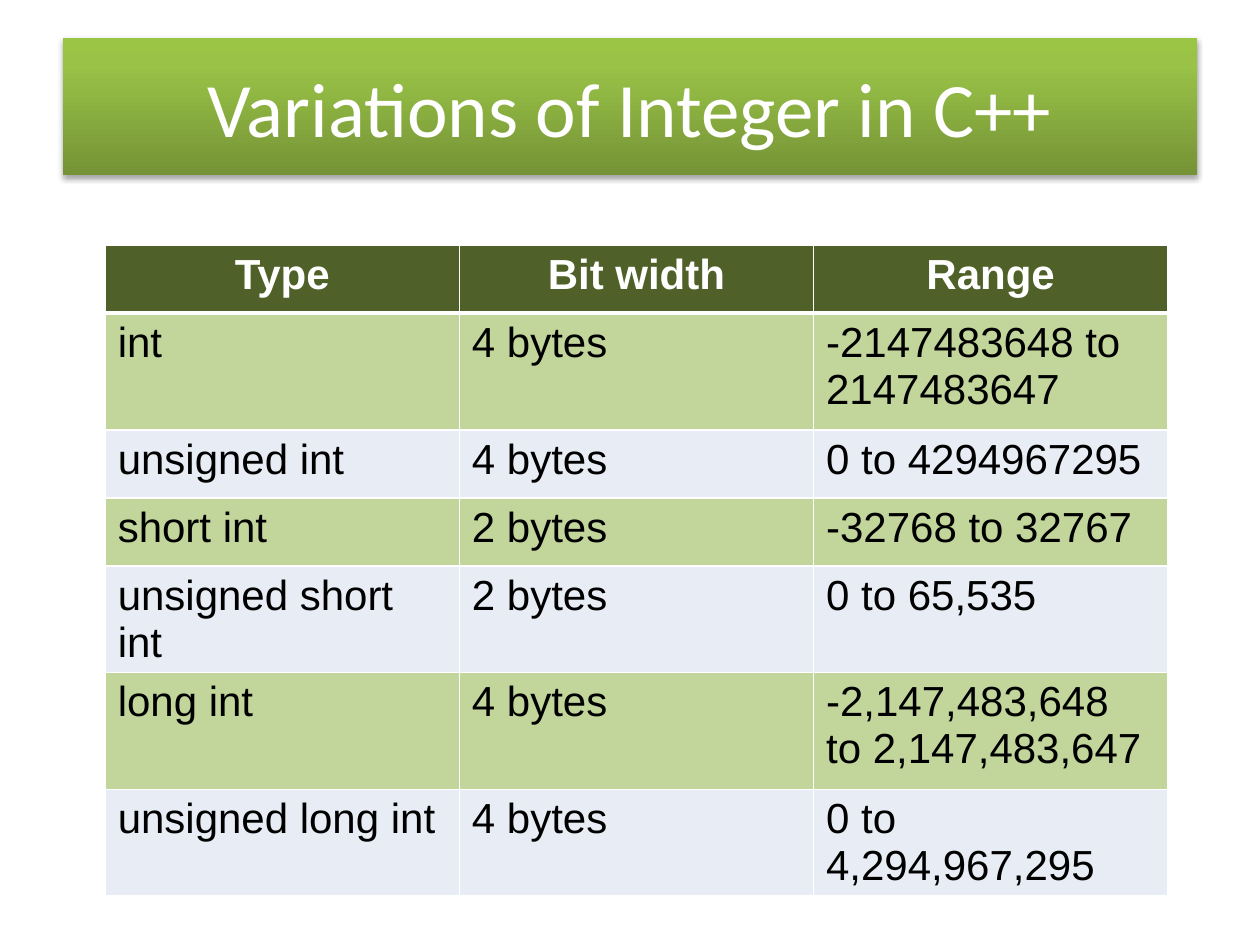
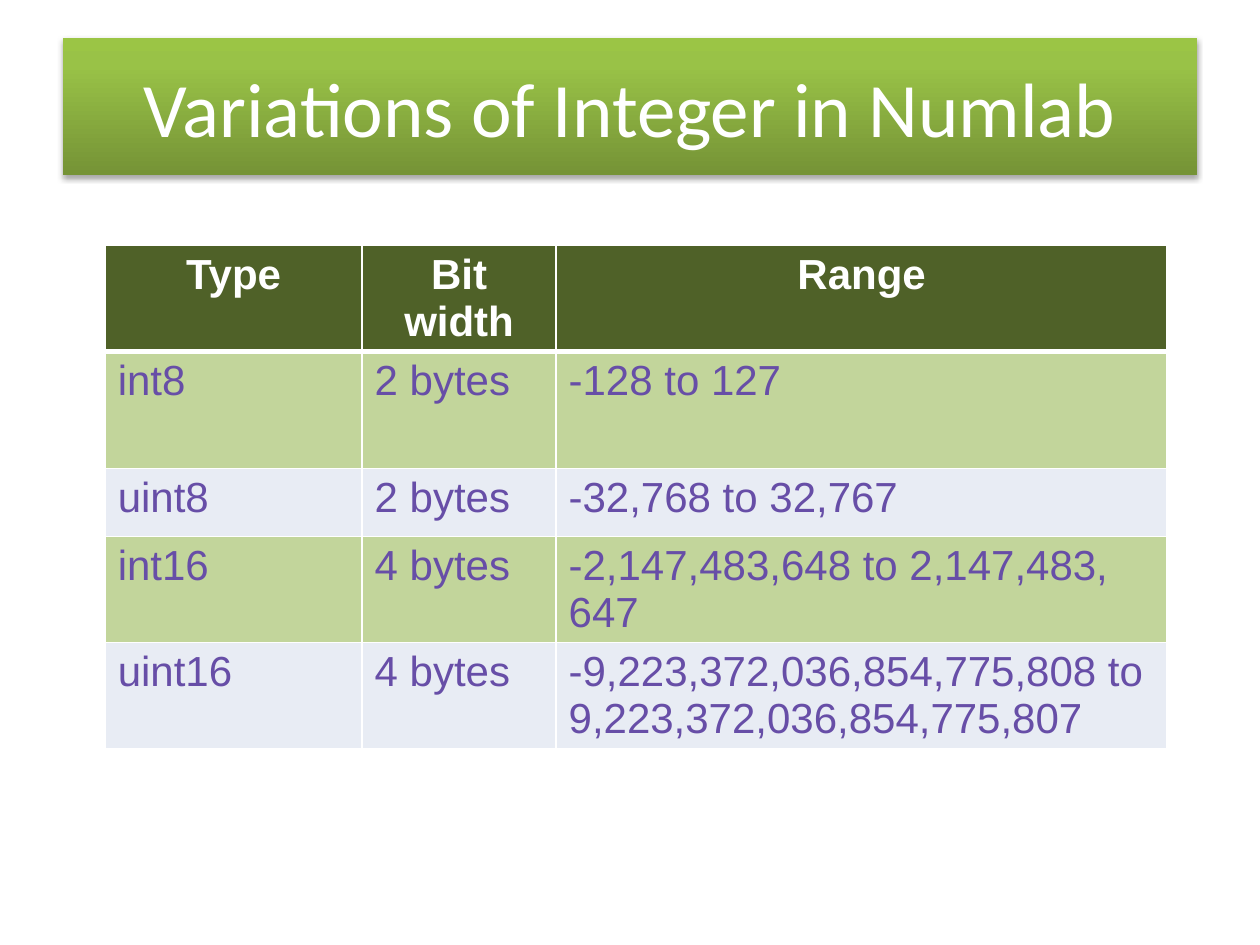
from lxml.etree import SubElement
from pptx import Presentation
from pptx.dml.color import RGBColor
from pptx.enum.shapes import MSO_SHAPE
from pptx.enum.text import MSO_ANCHOR, PP_ALIGN
from pptx.oxml import parse_xml
from pptx.oxml.ns import nsdecls, qn
from pptx.util import Cm, Pt

WHITE = "FFFFFF"
HEADER_GREEN = "4F6128"
BAND_FILLS = ["C2D59B", "E8ECF4"]
BANNER_STOPS = [(0, "759336"), (80, "99C247"), (100, "9BC545")]
HEADINGS = ["Type", "Bit width", "Range"]
ROW_HEIGHT, TALL_ROW_HEIGHT = Cm(1.37), Cm(2.36)

# title, body text colour, column widths in cm, tall rows, body rows
VARIATIONS = [
    ("Variations of Integer in C++", "000000", [7.14, 7.14, 7.14], [1, 5], [
        ["int", "4 bytes", "-2147483648 to 2147483647"],
        ["unsigned int", "4 bytes", "0 to 4294967295"],
        ["short int", "2 bytes", "-32768 to 32767"],
        ["unsigned short int", "2 bytes", "0 to 65,535"],
        ["long int", "4 bytes", "-2,147,483,648 to 2,147,483,647"],
        ["unsigned long int", "4 bytes", "0 to 4,294,967,295"],
    ]),
    ("Variations of Integer in Numlab", "674EA7", [5.18, 3.91, 12.32], [1], [
        ["int8", "2 bytes", "-128 to 127"],
        ["uint8", "2 bytes", "-32,768 to 32,767"],
        ["int16", "4 bytes", "-2,147,483,648 to 2,147,483, 647"],
        ["uint16", "4 bytes",
         "-9,223,372,036,854,775,808 to\n9,223,372,036,854,775,807"],
    ]),
]


def color(hex_code):
    return RGBColor.from_string(hex_code)


def write(frame, text, font_name, size, hex_code, bold=False, align=None):
    """Fill a text frame with one paragraph for each line of text."""
    for number, line in enumerate(text.split("\n")):
        paragraph = frame.add_paragraph() if number else frame.paragraphs[0]
        paragraph.alignment = align
        run = paragraph.add_run()
        run.text = line
        run.font.name = font_name
        run.font.size = Pt(size)
        run.font.bold = bold
        run.font.color.rgb = color(hex_code)


prs = Presentation()
prs.slide_width, prs.slide_height = Cm(25.4), Cm(19.05)

for title, body_color, widths, tall_rows, body_rows in VARIATIONS:
    slide = prs.slides.add_slide(prs.slide_layouts[6])

    # Title banner: vertical gradient with a soft shadow below
    banner = slide.shapes.add_shape(
        MSO_SHAPE.RECTANGLE, Cm(1.27), Cm(0.76), Cm(22.86), Cm(2.77))
    stops = "".join(
        f'<a:gs pos="{percent * 1000}"><a:srgbClr val="{hex_code}"/></a:gs>'
        for percent, hex_code in BANNER_STOPS)
    banner._element.spPr.append(parse_xml(
        f'<a:gradFill {nsdecls("a")} rotWithShape="1"><a:gsLst>{stops}</a:gsLst>'
        '<a:lin ang="16200000" scaled="0"/></a:gradFill>'))
    banner.line.fill.background()
    banner.shadow.inherit = False
    effects = banner._element.spPr.find(qn("a:effectLst"))
    effects.append(parse_xml(
        f'<a:outerShdw {nsdecls("a")} blurRad="{Pt(3.1)}" dist="{Pt(1.8)}"'
        ' dir="5400000" rotWithShape="0"><a:srgbClr val="000000">'
        '<a:alpha val="35000"/></a:srgbClr></a:outerShdw>'))
    banner.text_frame.word_wrap = True
    banner.text_frame.vertical_anchor = MSO_ANCHOR.MIDDLE
    write(banner.text_frame, title, "Calibri", 44, WHITE, align=PP_ALIGN.CENTER)

    # Table of integer types
    rows = [HEADINGS] + body_rows
    heights = [TALL_ROW_HEIGHT if r in tall_rows else ROW_HEIGHT
               for r in range(len(rows))]
    types_table = slide.shapes.add_table(
        len(rows), len(HEADINGS), Cm(2.12), Cm(4.94),
        Cm(sum(widths)), sum(heights)).table
    for column, width in zip(types_table.columns, widths):
        column.width = Cm(width)

    for r, texts in enumerate(rows):
        types_table.rows[r].height = heights[r]
        for c, text in enumerate(texts):
            cell = types_table.cell(r, c)
            borders = {"lnL": 1, "lnR": 1, "lnT": 3 if r == 1 else 1,
                       "lnB": 3 if r == 0 else 1}
            for side, points in borders.items():
                border = SubElement(cell._tc.get_or_add_tcPr(),
                                    qn(f"a:{side}"), w=str(Pt(points)))
                solid = SubElement(border, qn("a:solidFill"))
                SubElement(solid, qn("a:srgbClr"), val=WHITE)
            cell.fill.solid()
            if r == 0:
                cell.fill.fore_color.rgb = color(HEADER_GREEN)
                write(cell.text_frame, text, "Arial", 24, WHITE, True,
                      PP_ALIGN.CENTER)
            else:
                cell.fill.fore_color.rgb = color(BAND_FILLS[(r - 1) % 2])
                write(cell.text_frame, text, "Arial", 24, body_color)

prs.save("out.pptx")
